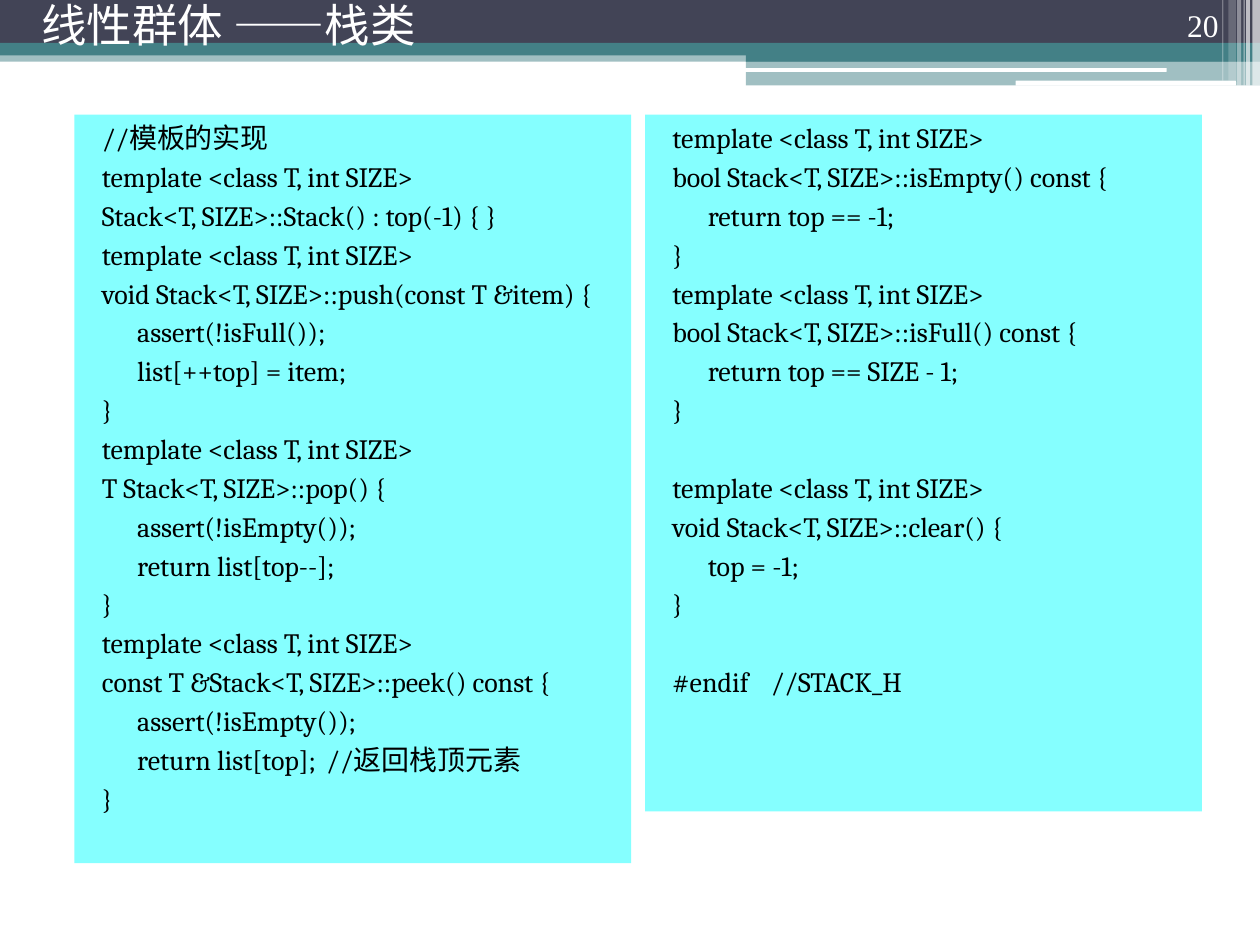
from dataclasses import dataclass

from lxml import etree
from pptx import Presentation
from pptx.dml import color
from pptx.enum import shapes, text
from pptx.oxml import ns
from pptx.util import Pt

SLATE, TEAL, WHITE, CYAN, BLACK = "424456", "438086", "FFFFFF", "85FFFF", "000000"
RECTANGLE = shapes.MSO_SHAPE.RECTANGLE
ROUNDED = shapes.MSO_SHAPE.ROUNDED_RECTANGLE
GAP, BLANK_LINE_GAP = 3, 25.2


@dataclass
class Bar:
    left: float
    top: float
    width: float
    height: float
    fill: str
    opacity: int = 100
    kind: shapes.MSO_SHAPE = RECTANGLE


@dataclass
class Panel:
    left: float
    height: float
    code: str


HEADER = [
    Bar(0, 28.8, 720, 6.5, TEAL, 50),
    Bar(0, 0, 720, 24.5, SLATE),
    Bar(0, 24.5, 720, 7.2, TEAL),
    Bar(426.2, 28.1, 293.8, 7.2, TEAL),
    Bar(426.2, 34.6, 293.8, 14.2, TEAL, 50),
    Bar(425.5, 38.9, 241.2, 2.2, WHITE, kind=ROUNDED),
    Bar(580.3, 46.1, 126, 2.9, WHITE, kind=ROUNDED),
    Bar(715.7, 0, 4.3, 49, WHITE, 65),
    Bar(712.1, 0, 2.2, 49, WHITE, 65),
    Bar(710.6, 0, 0.7, 49, WHITE, 60),
    Bar(707, 0, 2.2, 49, WHITE, 40),
    Bar(702, 0, 4.3, 46.1, WHITE, 20),
    Bar(698.4, 0, 0.7, 46.1, WHITE, 30),
]

LEFT_CODE = """//模板的实现
template <class T, int SIZE>
Stack<T, SIZE>::Stack() : top(-1) { }
template <class T, int SIZE>
void Stack<T, SIZE>::push(const T &item) {
\tassert(!isFull());
\tlist[++top] = item;
}
template <class T, int SIZE>
T Stack<T, SIZE>::pop() {
\tassert(!isEmpty());
\treturn list[top--];
}
template <class T, int SIZE>
const T &Stack<T, SIZE>::peek() const {
\tassert(!isEmpty());
\treturn list[top];\t//返回栈顶元素
}"""

RIGHT_CODE = """template <class T, int SIZE>
bool Stack<T, SIZE>::isEmpty() const {
\treturn top == -1;
}
template <class T, int SIZE>
bool Stack<T, SIZE>::isFull() const {
\treturn top == SIZE - 1;
}

template <class T, int SIZE>
void Stack<T, SIZE>::clear() {
\ttop = -1;
}

#endif\t//STACK_H"""

PANELS = [Panel(42.5, 427.7, LEFT_CODE), Panel(368.6, 398.2, RIGHT_CODE)]


def rgb(value: str) -> color.RGBColor:
    return color.RGBColor.from_string(value)


def draw_bar(page, bar: Bar):
    box = page.shapes.add_shape(
        bar.kind, Pt(bar.left), Pt(bar.top), Pt(bar.width), Pt(bar.height)
    )
    box.shadow.inherit = False
    box.line.fill.background()
    box.fill.solid()
    box.fill.fore_color.rgb = rgb(bar.fill)
    if bar.opacity < 100:
        tint = box.fill._xPr.find(".//" + ns.qn("a:srgbClr"))
        etree.SubElement(tint, ns.qn("a:alpha"), val=str(bar.opacity * 1000))
    return box


def add_code_layout(para) -> None:
    properties = para._p.get_or_add_pPr()
    properties.set("marL", str(Pt(28.8)))
    properties.set("indent", str(Pt(-20.2)))
    tabs = etree.SubElement(properties, ns.qn("a:tabLst"))
    for stop in range(8):
        etree.SubElement(tabs, ns.qn("a:tab"), pos=str(Pt(72 * stop)), algn="l")


def write(box, content: str, *, size: float, font: str, fill: str,
          anchor=text.MSO_ANCHOR.TOP, align=text.PP_ALIGN.LEFT,
          spacing: float = 1.0, code: bool = False) -> None:
    frame = box.text_frame
    frame.word_wrap = True
    frame.vertical_anchor = anchor
    para, before = frame.paragraphs[0], 0
    for line in content.split("\n"):
        if not line:
            before = BLANK_LINE_GAP
            continue
        if para is None:
            para = frame.add_paragraph()
        if code:
            add_code_layout(para)
        para.alignment = align
        para.line_spacing = spacing
        para.space_before = Pt(before)
        span = para.add_run()
        span.text = line
        span.font.size = Pt(size)
        span.font.name = font
        span.font.color.rgb = rgb(fill)
        para, before = None, GAP


def draw_label(page, content: str, left: float, width: float, height: float,
               **style) -> None:
    box = page.shapes.add_textbox(Pt(left), Pt(0), Pt(width), Pt(height))
    write(box, content, fill=WHITE, **style)


def draw_panel(page, panel: Panel) -> None:
    box = draw_bar(page, Bar(panel.left, 65.5, 318.2, panel.height, CYAN))
    write(box, panel.code, size=16, font="Cambria", fill=BLACK, code=True)


def main() -> None:
    deck = Presentation()
    deck.slide_width, deck.slide_height = Pt(720), Pt(540)
    page = deck.slides.add_slide(deck.slide_layouts[6])
    for bar in HEADER:
        draw_bar(page, bar)
    for panel in PANELS:
        draw_panel(page, panel)
    draw_label(page, "20", 643.7, 59.8, 28.8, size=18, font="Times New Roman",
               anchor=text.MSO_ANCHOR.BOTTOM, align=text.PP_ALIGN.RIGHT)
    draw_label(page, "线性群体 ——栈类", 16.6, 655.2, 33.8, size=26, font="Cabin",
               anchor=text.MSO_ANCHOR.MIDDLE, spacing=0.8)
    deck.save("out.pptx")


if __name__ == "__main__":
    main()
